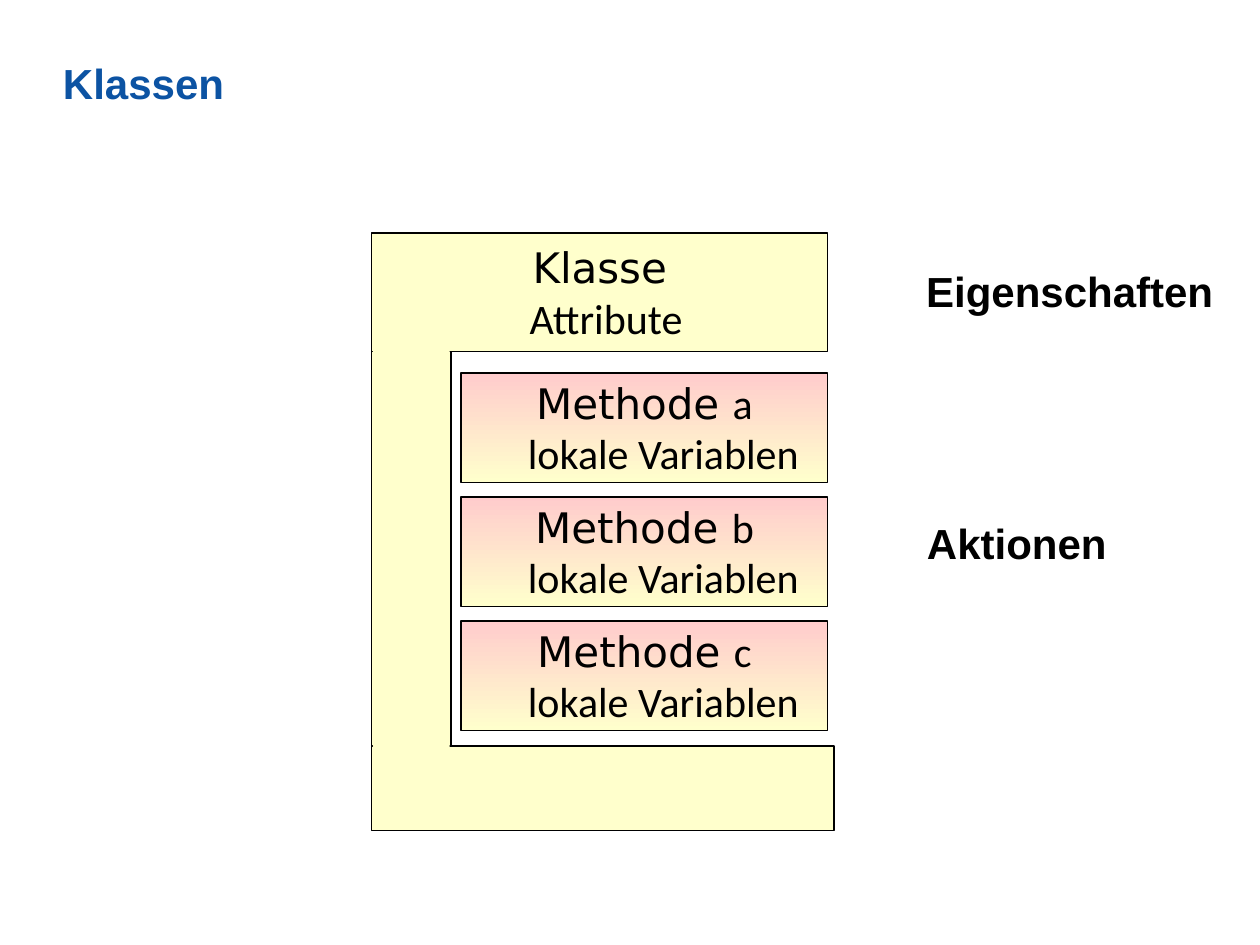
from pptx import Presentation
from pptx.dml.color import RGBColor
from pptx.enum.shapes import MSO_SHAPE
from pptx.enum.text import MSO_ANCHOR, MSO_AUTO_SIZE, PP_ALIGN
from pptx.util import Inches, Pt

RECT = MSO_SHAPE.RECTANGLE
MIDDLE, TOP = MSO_ANCHOR.MIDDLE, MSO_ANCHOR.TOP
CENTER, LEFT = PP_ALIGN.CENTER, PP_ALIGN.LEFT
GROW = MSO_AUTO_SIZE.SHAPE_TO_FIT_TEXT

COLORS = {"title": "0C53A3", "ink": "000000", "yellow": "FFFFCC", "pink": "FFCCCC"}
HEAD, BODY, BOLD = "DejaVu Sans", "Calibri", "Arial"

# Each line: left indent in inches, then runs of (text, font)
CLASS = [(0, [("Klasse", HEAD)]), (0.1, [("Attribute", BODY)])]
METHODS = [
    [(0, [("Methode ", HEAD), (name, BODY)]), (0.3, [("lokale Variablen", BODY)])]
    for name in "abc"
]
LABELS = [("Eigenschaften", 2.06, 2.48), ("Aktionen", 4.06, 1.64)]

SPINE = (2.95, 2.48, 0.63, 4.09)
TOP_BAR = (2.95, 1.85, 3.62, 0.94)
FOOT = (2.95, 5.92, 3.67, 0.67)
SEAMS = [(2.96, 2.72, 0.61, 0.47), (2.96, 5.71, 0.61, 0.59)]
METHOD_X, METHOD_W, METHOD_H = 3.66, 2.91, 0.87
FIRST_Y, LAST_Y = 2.96, 4.93
LABEL_X, LABEL_H = 7.25, 0.5


def color(key):
    return RGBColor.from_string(COLORS[key])


def write(shape, lines, align=CENTER, tint="ink", bold=False, **frame):
    text = shape.text_frame
    for name, value in frame.items():
        setattr(text, name, value)
    for i, (indent, runs) in enumerate(lines):
        para = text.paragraphs[0] if i == 0 else text.add_paragraph()
        para.alignment = align
        if indent:
            para._p.get_or_add_pPr().set("marL", str(Inches(indent)))
        for words, font in runs:
            run = para.add_run()
            run.text = words
            look = {"name": font, "size": Pt(24), "bold": bold}
            for name, value in look.items():
                setattr(run.font, name, value)
            run.font.color.rgb = color(tint)
    return text


def block(slide, place, lines=(), fade=False, edge=True):
    shape = slide.shapes.add_shape(RECT, *map(Inches, place))
    shape.shadow.inherit = False
    if fade:
        shape.fill.gradient()
        shape.fill.gradient_angle = 270
        for stop, key in zip(shape.fill.gradient_stops, ("pink", "yellow")):
            stop.color.rgb = color(key)
    else:
        shape.fill.solid()
        shape.fill.fore_color.rgb = color("yellow")
    if edge:
        shape.line.color.rgb = color("ink")
        shape.line.width = Pt(0.75)
    else:
        shape.line.fill.background()
    write(shape, lines, vertical_anchor=MIDDLE, word_wrap=True)


def label(slide, place, words, **format):
    box = slide.shapes.add_textbox(*map(Inches, place))
    return write(box, [(0, [(words, BOLD)])], bold=True, **format)


def main():
    deck = Presentation()
    deck.slide_width, deck.slide_height = Inches(10), Inches(7.5)
    slide = deck.slides.add_slide(deck.slide_layouts[6])

    block(slide, SPINE)
    block(slide, TOP_BAR, CLASS)
    title = label(slide, (0.5, 0.05, 9, 1.25), "Klassen", align=LEFT, tint="title",
                  vertical_anchor=MIDDLE, word_wrap=True, margin_left=0,
                  margin_top=0, margin_right=0, margin_bottom=0)
    title.paragraphs[0].line_spacing = 0.95

    step = (LAST_Y - FIRST_Y) / (len(METHODS) - 1)
    for i, lines in enumerate(METHODS):
        place = (METHOD_X, FIRST_Y + i * step, METHOD_W, METHOD_H)
        block(slide, place, lines, fade=True)

    block(slide, FOOT)
    for seam in SEAMS:
        block(slide, seam, edge=False)

    for words, y, width in LABELS:
        label(slide, (LABEL_X, y, width, LABEL_H), words,
              vertical_anchor=TOP, word_wrap=False, auto_size=GROW)

    deck.save("out.pptx")


if __name__ == "__main__":
    main()
